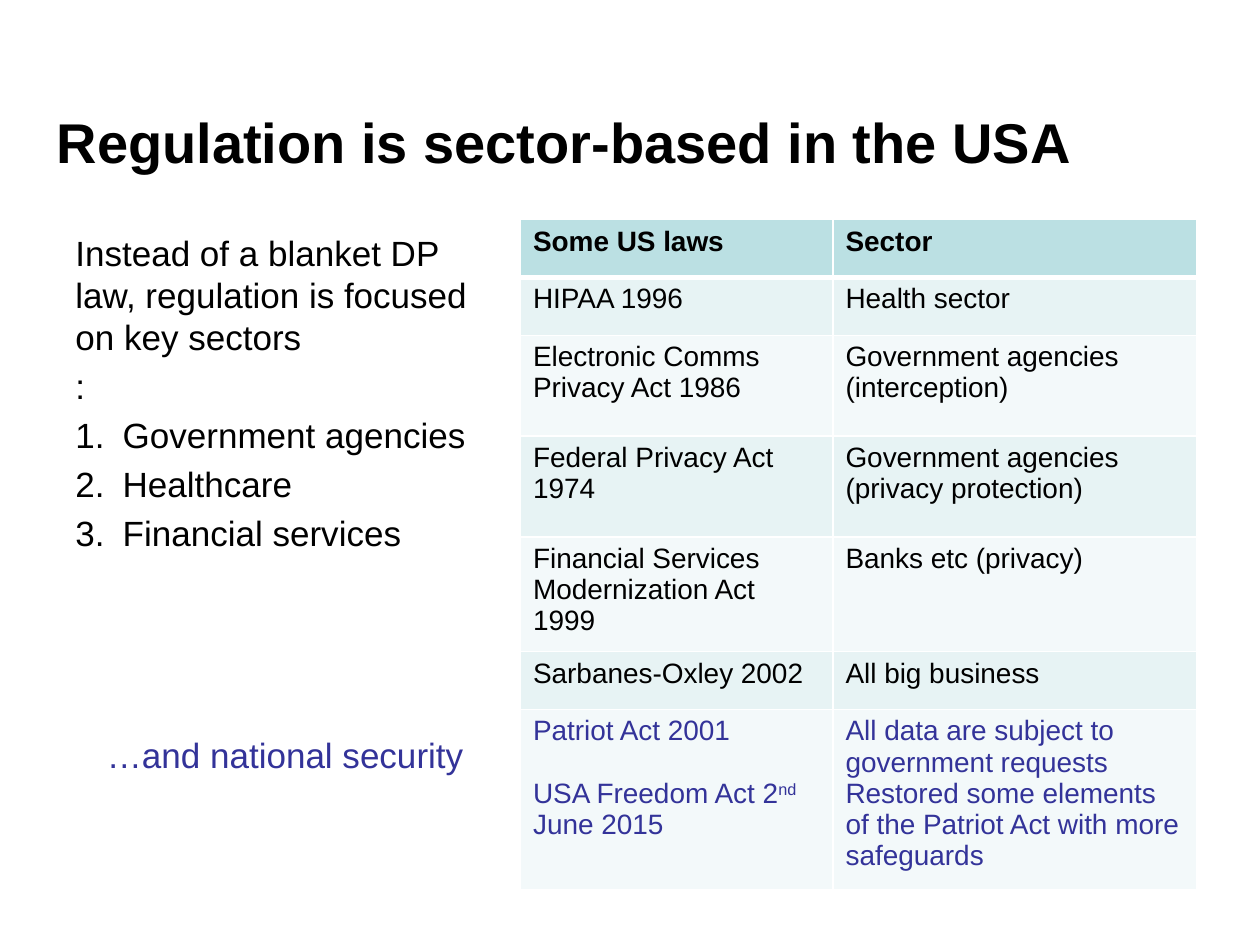
from lxml.etree import SubElement
from pptx import Presentation
from pptx.dml.color import RGBColor
from pptx.enum.text import MSO_ANCHOR as Anchor, MSO_AUTO_SIZE as AutoSize, PP_ALIGN as Align
from pptx.oxml import parse_xml
from pptx.oxml.ns import nsdecls, qn
from pptx.util import Pt

COLORS = {"black": "000000", "blue": "333399", "white": "FFFFFF",
          "header": "BBE0E3", "band": "E7F3F4", "pale": "F3F9FA"}
TITLE = "Regulation is sector-based in the USA"
INTRO = ["Instead of a blanket DP law, regulation is focused on key sectors", ":"]
SECTORS = ["Government agencies", "Healthcare", "Financial services"]
ASIDE = "…and national security"
LAWS = [
    ("Some US laws", "Sector"),
    ("HIPAA 1996", "Health sector"),
    ("Electronic Comms Privacy Act 1986", "Government agencies (interception)"),
    ("Federal Privacy Act 1974", "Government agencies (privacy protection)"),
    ("Financial Services Modernization Act 1999", "Banks etc (privacy)"),
    ("Sarbanes-Oxley 2002", "All big business"),
]
SECURITY_LAWS = (
    ["Patriot Act 2001", ("USA Freedom Act 2", "nd", " June 2015")],
    ["All data are subject to government requests",
     "Restored some elements of the Patriot Act with more safeguards"],
)
COLUMN_WIDTHS = [178.6, 208.1]
ROW_HEIGHTS = [33.1, 33.1, 57.6, 57.6, 65.5, 33.1, 57.6]
LIST_INDENT = 27
LIST_GAP = 4


def write(paragraph, text, size=16, color="black", bold=False, before=0, superscript=False):
    """Add a formatted run to a paragraph."""
    paragraph.alignment = Align.LEFT
    paragraph.space_before = Pt(before)
    run = paragraph.add_run()
    run.text = text
    run.font.name = "Arial"
    run.font.size = Pt(size)
    run.font.bold = bold
    run.font.color.rgb = RGBColor.from_string(COLORS[color])
    if superscript:
        run.font._element.set("baseline", "30000")


def next_paragraph(frame):
    """Return the unused first paragraph or a new one."""
    first = frame.paragraphs[0]
    return frame.add_paragraph() if first.runs else first


def number(paragraph):
    """Turn a paragraph into a numbered list item."""
    properties = paragraph._p.get_or_add_pPr()
    properties.set("marL", str(Pt(LIST_INDENT)))
    properties.set("indent", str(-Pt(LIST_INDENT)))
    SubElement(properties, qn("a:buAutoNum")).set("type", "arabicPeriod")


def style_cell(cell, fill, top=1, bottom=1):
    """Fill a cell and draw its white borders."""
    cell.fill.solid()
    cell.fill.fore_color.rgb = RGBColor.from_string(COLORS[fill])
    widths = {"lnL": 1, "lnR": 1, "lnT": top, "lnB": bottom}
    for position, (side, width) in enumerate(widths.items()):
        line = parse_xml(
            f'<a:{side} {nsdecls("a")} w="{Pt(width)}"><a:solidFill>'
            f'<a:srgbClr val="{COLORS["white"]}"/></a:solidFill></a:{side}>')
        cell._tc.get_or_add_tcPr().insert(position, line)


def add_body(slide):
    """Add the introduction and the numbered sectors."""
    frame = slide.shapes.add_textbox(Pt(36), Pt(128.9), Pt(252.7), Pt(325.4)).text_frame
    frame.word_wrap = True
    for index, text in enumerate(INTRO + SECTORS):
        paragraph = next_paragraph(frame)
        write(paragraph, text, size=20, before=LIST_GAP if index else 31)
        if text in SECTORS:
            number(paragraph)


def add_laws(slide):
    """Add the table of laws and sectors."""
    table = slide.shapes.add_table(
        len(ROW_HEIGHTS), len(COLUMN_WIDTHS), Pt(297.4), Pt(125.5),
        Pt(sum(COLUMN_WIDTHS)), Pt(sum(ROW_HEIGHTS))).table
    table.horz_banding = False
    for column, width in zip(table.columns, COLUMN_WIDTHS):
        column.width = Pt(width)
    for index, height in enumerate(ROW_HEIGHTS):
        table.rows[index].height = Pt(height)
        fill = "header" if index == 0 else "band" if index % 2 else "pale"
        for cell in table.rows[index].cells:
            style_cell(cell, fill, top=3 if index == 1 else 1, bottom=3 if index == 0 else 1)
    for row, texts in enumerate(LAWS):
        for column, text in enumerate(texts):
            write(table.cell(row, column).text_frame.paragraphs[0], text, bold=row == 0)
    for column, lines in enumerate(SECURITY_LAWS):
        frame = table.cell(len(LAWS), column).text_frame
        for line in lines:
            paragraph = next_paragraph(frame)
            parts = (line,) if isinstance(line, str) else line
            for part in parts:
                write(paragraph, part, color="blue", superscript=part == "nd",
                      before=18 if len(parts) > 1 else 0)


def add_aside(slide):
    """Add the remark on national security."""
    frame = slide.shapes.add_textbox(Pt(54), Pt(415.4), Pt(219.6), Pt(31.7)).text_frame
    frame.word_wrap = False
    frame.auto_size = AutoSize.SHAPE_TO_FIT_TEXT
    write(frame.paragraphs[0], ASIDE, size=20, color="blue")


def add_title(slide):
    """Place and write the title."""
    title = slide.shapes.title
    title.left, title.top, title.width, title.height = Pt(25.2), Pt(53.3), Pt(665.3), Pt(54.7)
    title.text_frame.vertical_anchor = Anchor.MIDDLE
    write(title.text_frame.paragraphs[0], TITLE, size=32, bold=True)


def main():
    """Build and save the slide."""
    presentation = Presentation()
    presentation.slide_width, presentation.slide_height = Pt(720), Pt(540)
    slide = presentation.slides.add_slide(presentation.slide_layouts[5])
    add_body(slide)
    add_laws(slide)
    add_aside(slide)
    add_title(slide)
    presentation.save("out.pptx")


if __name__ == "__main__":
    main()
